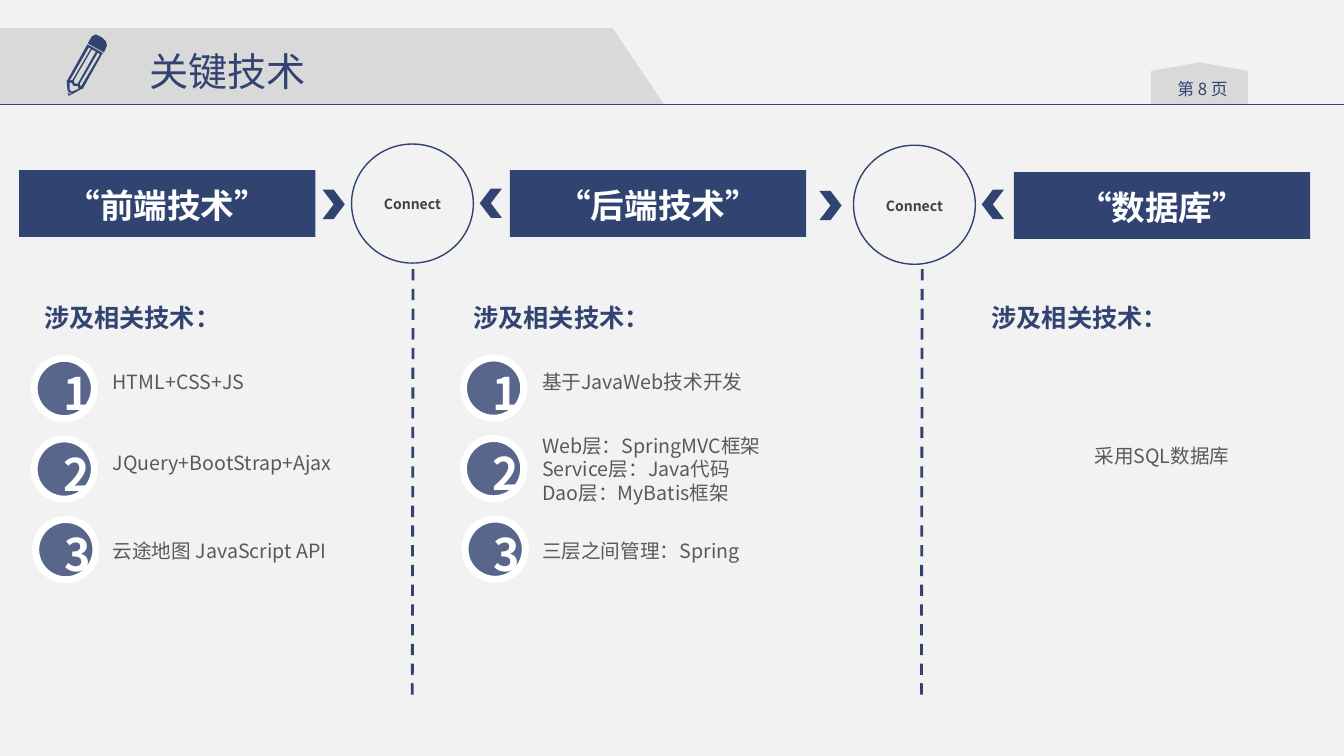
from lxml.etree import SubElement as Sub
from pptx import Presentation
from pptx.dml.color import RGBColor
from pptx.enum.dml import MSO_LINE as Dash
from pptx.enum.shapes import MSO_CONNECTOR as Link, MSO_SHAPE as Kind
from pptx.enum.text import MSO_ANCHOR as Anchor, PP_ALIGN as Align
from pptx.oxml.ns import qn
from pptx.util import Cm, Pt

FONT = "Noto Sans CJK SC"
NAVY, GREY, PALE, WHITE = "314371", "D9D9D9", "F2F2F2", "FFFFFF"
BODY, DARK = "595959", "404040"
TITLE = "涉及相关技术："

CAP = [[(25, 5), (29, 3), (35, 6), (39, 10), (40, 14), (37, 21), (21, 12)]]
BARREL = [
    [(0, 49), (1, 59), (2, 60), (5, 62), (6, 62), (15, 57), (16, 57),
     (35, 23), (36, 22), (35, 21), (21, 13), (20, 14), (1, 48)],
    [(3, 49), (22, 16), (24, 17), (6, 48)],
    [(5, 60), (3, 58), (3, 51), (5, 51), (7, 54), (11, 54), (12, 57)],
    [(7, 49), (25, 18), (29, 20), (11, 52), (8, 52)],
    [(14, 55), (13, 52), (31, 21), (33, 23)],
]
TIP = [[(5, 63), (1, 61), (2, 64)]]


def color(code):
    return RGBColor.from_string(code)


def paint(shape, fill, edge=None, width=1):
    shape.shadow.inherit = False
    shape.fill.solid()
    shape.fill.fore_color.rgb = color(fill)
    if edge:
        shape.line.color.rgb = color(edge)
        shape.line.width = Pt(width)
    else:
        shape.line.fill.background()
    return shape


def write(frame, lines, size, ink, bold=False, align=Align.LEFT, lead=1.3):
    for i, line in enumerate(lines):
        para = frame.paragraphs[0] if i == 0 else frame.add_paragraph()
        para.alignment = align
        para.line_spacing = Pt(size * lead)
        run = para.add_run()
        run.text = line
        font = run.font
        font.size, font.bold, font.name = Pt(size), bold, FONT
        font.color.rgb = color(ink)
        Sub(run._r.get_or_add_rPr(), qn("a:ea"), typeface=FONT)


def label(slide, box, lines, size, ink, wrap=True, **style):
    frame = slide.shapes.add_textbox(*map(Cm, box)).text_frame
    frame.word_wrap = wrap
    write(frame, lines, size, ink, **style)
    return frame


def block(slide, kind, box, fill, edge=None, width=1):
    return paint(slide.shapes.add_shape(kind, *map(Cm, box)), fill, edge, width)


def rule(slide, start, end, width=1, dash=None):
    line = slide.shapes.add_connector(Link.STRAIGHT, *map(Cm, start + end))
    line.line.color.rgb = color(NAVY)
    line.line.width = Pt(width)
    if dash:
        line.line.dash_style = dash
    Sub(line._element.spPr, qn("a:effectLst"))


def trace(slide, x, y, loops, fill, unit):
    first, *rest = loops
    pen = slide.shapes.build_freeform(*first[0], scale=Cm(unit))
    pen.add_line_segments(first[1:])
    for loop in rest:
        pen.move_to(*loop[0])
        pen.add_line_segments(loop[1:])
    paint(pen.convert_to_shape(Cm(x), Cm(y)), fill)


def header(slide, x, y, width):
    base = y + 1.93
    trace(slide, x, y, [[(0, 0), (1544, 0), (1674, 193), (0, 193)]], GREY, 0.01)
    tab = block(slide, Kind.FLOWCHART_OFFPAGE_CONNECTOR,
                (x + 29.01, base - 1.07, 2.44, 1.07), GREY)
    tab.rotation = 180
    page = label(slide, (x + 29.16, y + 1.12, 2.29, 0.76), ["第 8 页"], 12, NAVY,
                 align=Align.CENTER)
    page.margin_left = page.margin_right = Cm(0.18)
    page.margin_top = page.margin_bottom = Cm(0.1)
    rule(slide, (x, base), (x + width, base))
    for part in (CAP, BARREL, TIP):
        trace(slide, x + 1.68, y + 0.08, part, NAVY, 0.0254)
    label(slide, (x + 3.51, y + 0.26, 4.47, 1.45), ["关键技术"], 28, NAVY, wrap=False)


def banner(slide, x, y, text):
    bar = block(slide, Kind.RECTANGLE, (x, y, 7.47, 1.68), NAVY)
    bar.text_frame.vertical_anchor = Anchor.MIDDLE
    write(bar.text_frame, [text], 24, WHITE, bold=True, align=Align.CENTER)


def joint(slide, x, y, gap, drop):
    rule(slide, (x + drop, 6.78), (x + drop - 0.02, 17.7), 2, Dash.DASH)
    ring = block(slide, Kind.OVAL, (x, y, 3.07, 3), PALE, NAVY)
    ring.text_frame.vertical_anchor = Anchor.MIDDLE
    ring.text_frame.word_wrap = False
    write(ring.text_frame, ["Connect"], 10, DARK, bold=True, align=Align.CENTER)
    block(slide, Kind.CHEVRON, (x - gap, y + 1.15, 0.56, 0.74), NAVY)
    back = block(slide, Kind.CHEVRON, (x + 3.23, y + 1.12, 0.56, 0.74), NAVY)
    back.rotation = 180


def ball(slide, x, y, digit):
    disc = block(slide, Kind.OVAL, (x, y, 1.52, 1.52), NAVY, WHITE, 5)
    tint = disc._element.spPr.find(qn("a:solidFill"))[0]
    Sub(tint, qn("a:alpha"), val="80000")
    label(slide, (x + 0.48, y - 0.05, 0.61, 1.63), [digit], 32, WHITE,
          bold=True, align=Align.CENTER)


def column(slide, x, y, items):
    label(slide, (x, y, 8, 1.02), [TITLE], 18, NAVY, bold=True)
    for i, (top, lines) in enumerate(items):
        ball(slide, x + (0.04 if i == 2 else 0), y + 1.6 + 2.03 * i, str(i + 1))
        lead = 1.2 if len(lines) > 1 else 1.3
        label(slide, (x + 1.73, y + top, 9.09, 0.84 + 0.6 * (len(lines) - 1)),
              lines, 14, BODY, lead=lead)


def store(slide, x, y):
    label(slide, (x, y, 8, 1.02), [TITLE], 18, NAVY, bold=True)
    label(slide, (x, y + 3.58, 9.09, 0.84), ["采用SQL数据库"], 14, BODY,
          align=Align.CENTER)


def main():
    deck = Presentation()
    deck.slide_width, deck.slide_height = Cm(33.87), Cm(19.05)
    slide = deck.slides.add_slide(deck.slide_layouts[6])
    slide.background.fill.solid()
    slide.background.fill.fore_color.rgb = color(PALE)
    header(slide, 0, 0.71, 33.87)
    joint(slide, 8.86, 3.63, 0.73, 1.55)
    joint(slide, 21.51, 3.66, 0.86, 1.73)
    banner(slide, 0.48, 4.29, "“前端技术”")
    banner(slide, 12.85, 4.29, "“后端技术”")
    banner(slide, 25.55, 4.34, "“数据库”")
    column(slide, 0.86, 7.43, [
        (1.71, ["HTML+CSS+JS"]),
        (3.77, ["JQuery+BootStrap+Ajax"]),
        (5.98, ["云途地图 JavaScript API"]),
    ])
    column(slide, 11.68, 7.42, [
        (1.72, ["基于JavaWeb技术开发"]),
        (3.38, ["Web层：SpringMVC框架", "Service层：Java代码", "Dao层：MyBatis框架"]),
        (5.99, ["三层之间管理：Spring"]),
    ])
    store(slide, 24.74, 7.44)
    deck.save("out.pptx")


if __name__ == "__main__":
    main()
